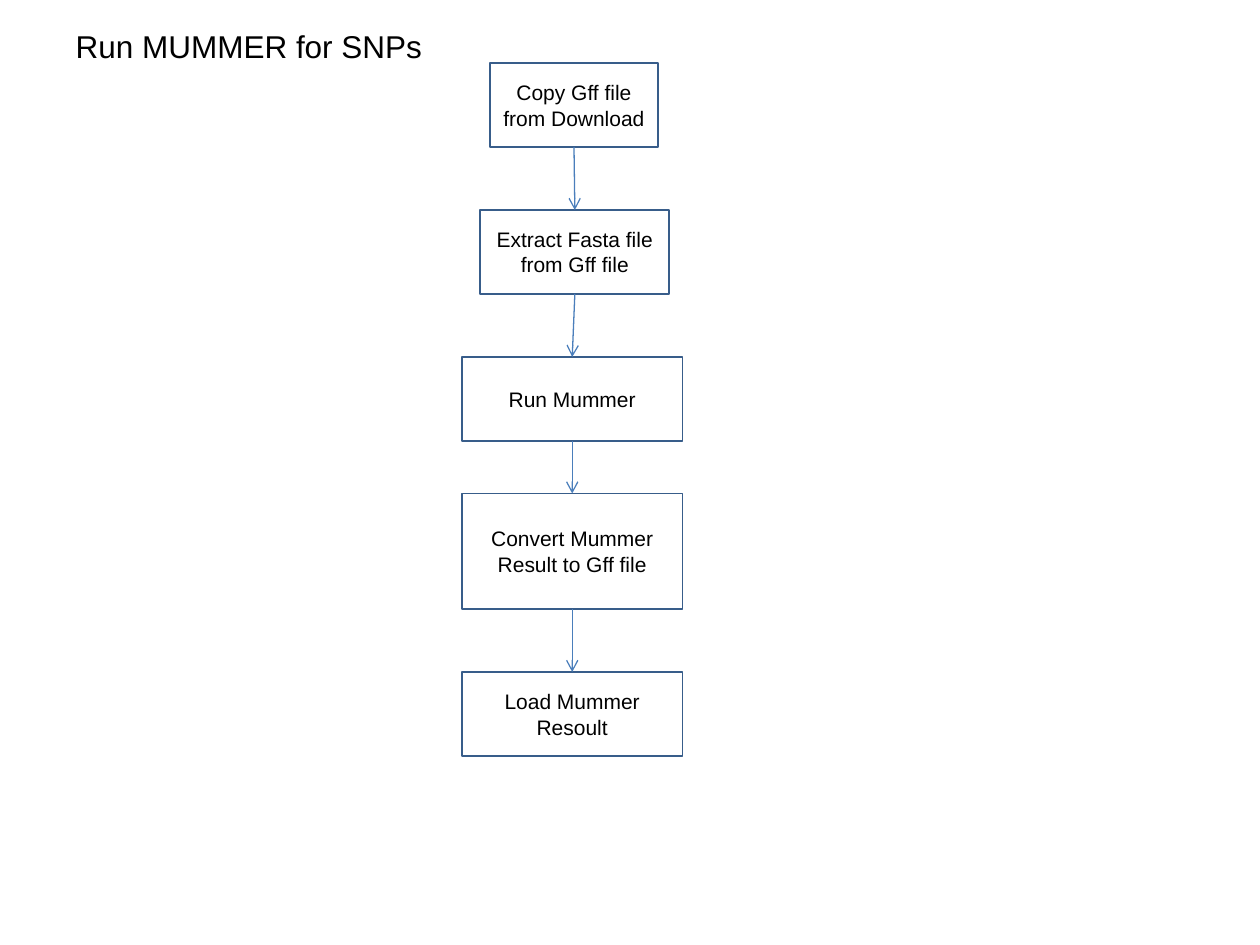
"""Build the slide that shows the MUMMER workflow for finding SNPs."""
import itertools

import pptx
import pptx.dml.color
import pptx.enum.shapes
import pptx.enum.text
import pptx.oxml.ns
import pptx.util
from lxml import etree

Pt = pptx.util.Pt
COLOURS = {"text": "000000", "paper": "FFFFFF", "border": "385D8A", "arrow": "4A7EBB"}
STEPS = [
    ("Copy Gff file from Download", 280, 36, 96, 48, "paper"),
    ("Extract Fasta file from Gff file", 274.5, 120, 108, 48, None),
    ("Run Mummer", 264, 204, 126, 48, None),
    ("Convert Mummer Result to Gff file", 264, 282, 126, 66, None),
    ("Load Mummer Resoult", 264, 384, 126, 48, None),
]


def colour(name):
    return pptx.dml.color.RGBColor.from_string(COLOURS[name])


def set_fill(shape, name):
    if name is None:
        shape.fill.background()
    else:
        shape.fill.solid()
        shape.fill.fore_color.rgb = colour(name)


def set_text(shape, text, size, alignment, anchor):
    frame = shape.text_frame
    frame.text = text
    frame.word_wrap = True
    frame.vertical_anchor = anchor
    frame.margin_left = frame.margin_right = Pt(7.2)
    frame.margin_top = frame.margin_bottom = Pt(3.6)
    paragraph = frame.paragraphs[0]
    paragraph.alignment = alignment
    paragraph.font.name = "Arial"
    paragraph.font.size = Pt(size)
    paragraph.font.color.rgb = colour("text")


def format_title(slide, text):
    title = slide.shapes.title
    title.left, title.top, title.width, title.height = Pt(36), Pt(12), Pt(228), Pt(29)
    set_fill(title, "paper")
    set_text(title, text, 18, pptx.enum.text.PP_ALIGN.LEFT, pptx.enum.text.MSO_ANCHOR.TOP)
    title.text_frame.auto_size = pptx.enum.text.MSO_AUTO_SIZE.SHAPE_TO_FIT_TEXT


def add_step(slide, text, left, top, width, height, fill):
    box = slide.shapes.add_shape(
        pptx.enum.shapes.MSO_SHAPE.RECTANGLE, Pt(left), Pt(top), Pt(width), Pt(height)
    )
    box.shadow.inherit = False
    set_fill(box, fill)
    box.line.color.rgb = colour("border")
    box.line.width = Pt(1)
    set_text(box, text, 12, pptx.enum.text.PP_ALIGN.CENTER, pptx.enum.text.MSO_ANCHOR.MIDDLE)
    return box


def add_arrow(slide, source, target):
    arrow = slide.shapes.add_connector(pptx.enum.shapes.MSO_CONNECTOR.STRAIGHT, 0, 0, 0, 0)
    arrow.begin_connect(source, 2)
    arrow.end_connect(target, 0)
    arrow.line.color.rgb = colour("arrow")
    arrow.line.width = Pt(0.75)
    properties = arrow.element.spPr
    line = properties.find(pptx.oxml.ns.qn("a:ln"))
    etree.SubElement(line, pptx.oxml.ns.qn("a:tailEnd"), type="arrow")
    etree.SubElement(properties, pptx.oxml.ns.qn("a:effectLst"))


def main():
    presentation = pptx.Presentation()
    presentation.slide_width, presentation.slide_height = Pt(720), Pt(540)
    slide = presentation.slides.add_slide(presentation.slide_layouts[5])
    format_title(slide, "Run MUMMER for SNPs")
    boxes = [add_step(slide, *step) for step in STEPS]
    for source, target in itertools.pairwise(boxes):
        add_arrow(slide, source, target)
    presentation.save("out.pptx")


if __name__ == "__main__":
    main()
